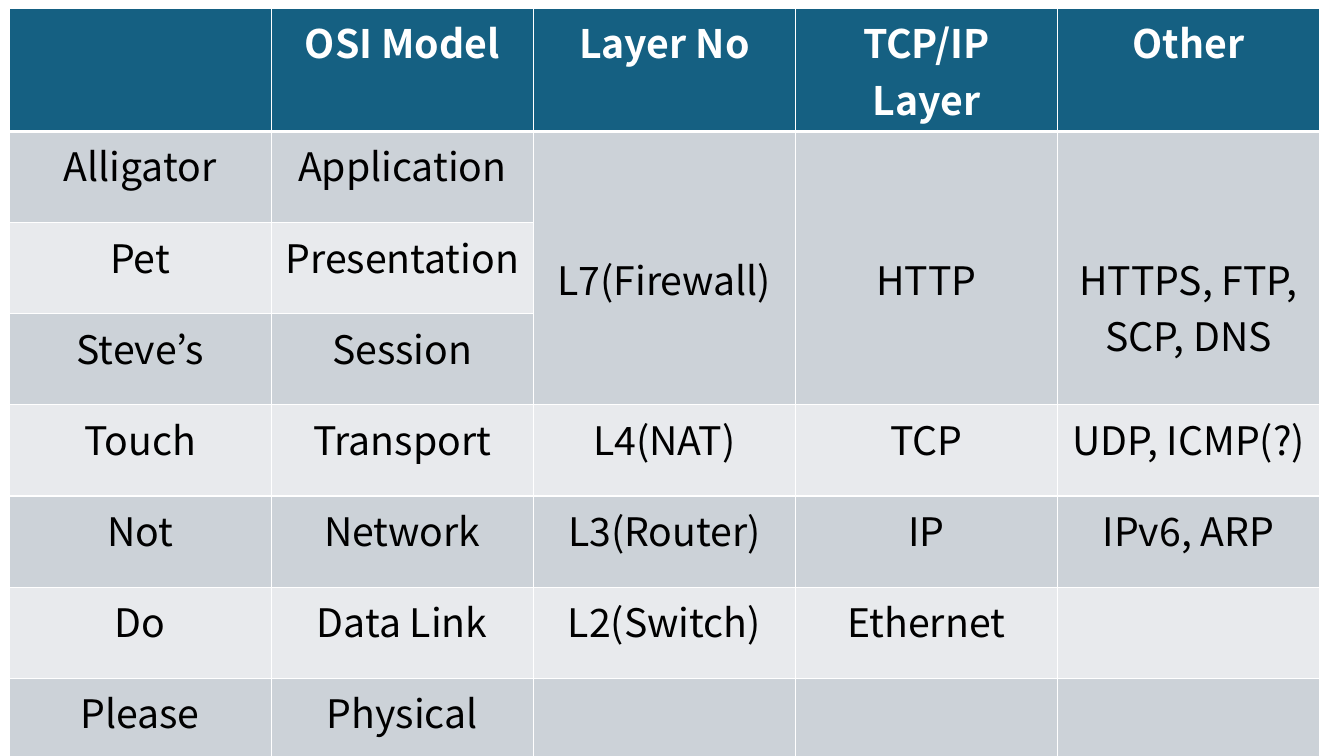
"""Build a one-slide table matching OSI layers with TCP/IP layers and protocols."""
from dataclasses import dataclass

from lxml.etree import SubElement
from pptx import Presentation
from pptx.dml.color import RGBColor
from pptx.enum.text import PP_ALIGN
from pptx.oxml.ns import qn
from pptx.table import _Cell
from pptx.util import Pt

FONT = "Noto Sans CJK KR"
FONT_SIZE = 28
COLUMN_WIDTH = 187.2
ROW_HEIGHT = 65.1
TWO_LINES_DOWN = 84.5
WHITE = "FFFFFF"
BLACK = "000000"
HEADER_FILL = "156082"
BAND_FILLS = ("E8EAED", "CCD2D8")


@dataclass(frozen=True)
class Layer:
    mnemonic: str
    osi: str
    number: str = ""
    tcp_ip: str = ""
    other: str = ""

    def texts(self) -> tuple[str, ...]:
        return self.mnemonic, self.osi, self.number, self.tcp_ip, self.other


@dataclass(frozen=True)
class RowStyle:
    fill: str
    ink: str
    bold: bool
    top_line: float
    bottom_line: float


HEADER = Layer("", "OSI Model", "Layer No", "TCP/IP Layer", "Other")
LAYERS = (
    Layer("Alligator", "Application", "L7(Firewall)", "HTTP", "HTTPS, FTP, SCP, DNS"),
    Layer("Pet", "Presentation"),
    Layer("Steve’s", "Session"),
    Layer("Touch", "Transport", "L4(NAT)", "TCP", "UDP, ICMP(?)"),
    Layer("Not", "Network", "L3(Router)", "IP", "IPv6, ARP"),
    Layer("Do", "Data Link", "L2(Switch)", "Ethernet"),
    Layer("Please", "Physical"),
)


def color(value: str) -> RGBColor:
    return RGBColor.from_string(value)


def row_style(row: int) -> RowStyle:
    if row == 0:
        return RowStyle(HEADER_FILL, WHITE, True, 1, 3)
    return RowStyle(BAND_FILLS[row % 2], BLACK, False, 3 if row == 1 else 1, 1)


def draw_borders(cell: _Cell, style: RowStyle) -> None:
    properties = cell._tc.get_or_add_tcPr()
    widths = {"lnL": 1, "lnR": 1, "lnT": style.top_line, "lnB": style.bottom_line}
    for side, width in widths.items():
        line = SubElement(properties, qn(f"a:{side}"), w=str(Pt(width)))
        SubElement(SubElement(line, qn("a:solidFill")), qn("a:srgbClr"), val=WHITE)


def draw_cell(cell: _Cell, text: str, style: RowStyle) -> None:
    if not cell.is_spanned:
        draw_borders(cell, style)
    cell.fill.solid()
    cell.fill.fore_color.rgb = color(style.fill)
    if cell.is_merge_origin:
        cell.margin_top = Pt(TWO_LINES_DOWN)
    if not text:
        return
    paragraph = cell.text_frame.paragraphs[0]
    paragraph.text = text
    paragraph.alignment = PP_ALIGN.CENTER
    for run in paragraph.runs:
        run.font.name = FONT
        run.font.size = Pt(FONT_SIZE)
        run.font.bold = style.bold
        run.font.color.rgb = color(style.ink)


def main() -> None:
    presentation = Presentation()
    presentation.slide_width = Pt(960)
    presentation.slide_height = Pt(540)
    slide = presentation.slides.add_slide(presentation.slide_layouts[6])

    rows = (HEADER, *LAYERS)
    column_count = len(HEADER.texts())
    layers = slide.shapes.add_table(
        len(rows), column_count, Pt(6.5), Pt(5.8),
        Pt(COLUMN_WIDTH * column_count), Pt(ROW_HEIGHT * len(rows)),
    ).table
    for column in layers.columns:
        column.width = Pt(COLUMN_WIDTH)
    for table_row in layers.rows:
        table_row.height = Pt(ROW_HEIGHT)
    for column_index in range(2, column_count):
        layers.cell(1, column_index).merge(layers.cell(3, column_index))

    for row_index, layer in enumerate(rows):
        for column_index, text in enumerate(layer.texts()):
            draw_cell(layers.cell(row_index, column_index), text, row_style(row_index))

    presentation.save("out.pptx")


if __name__ == "__main__":
    main()
